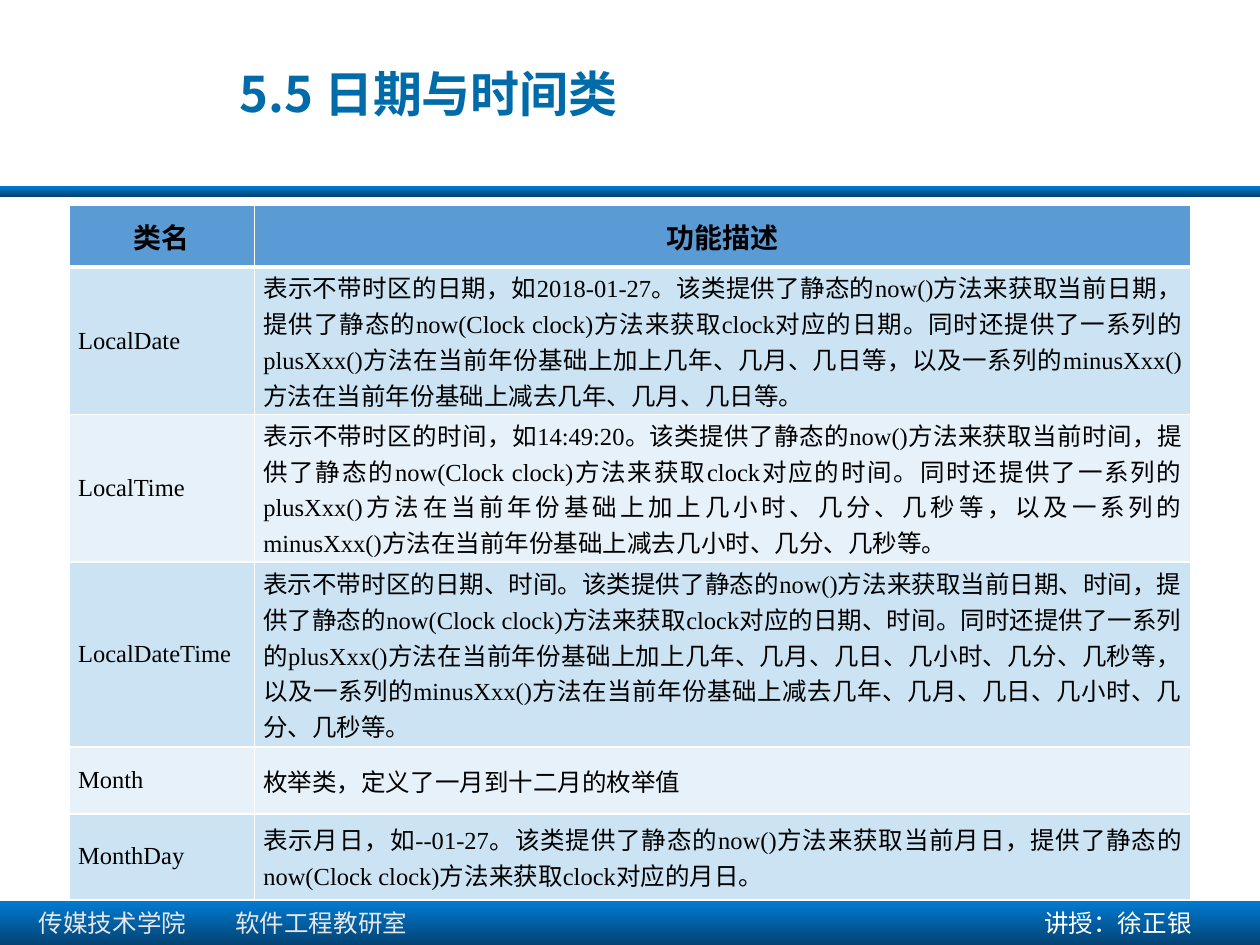
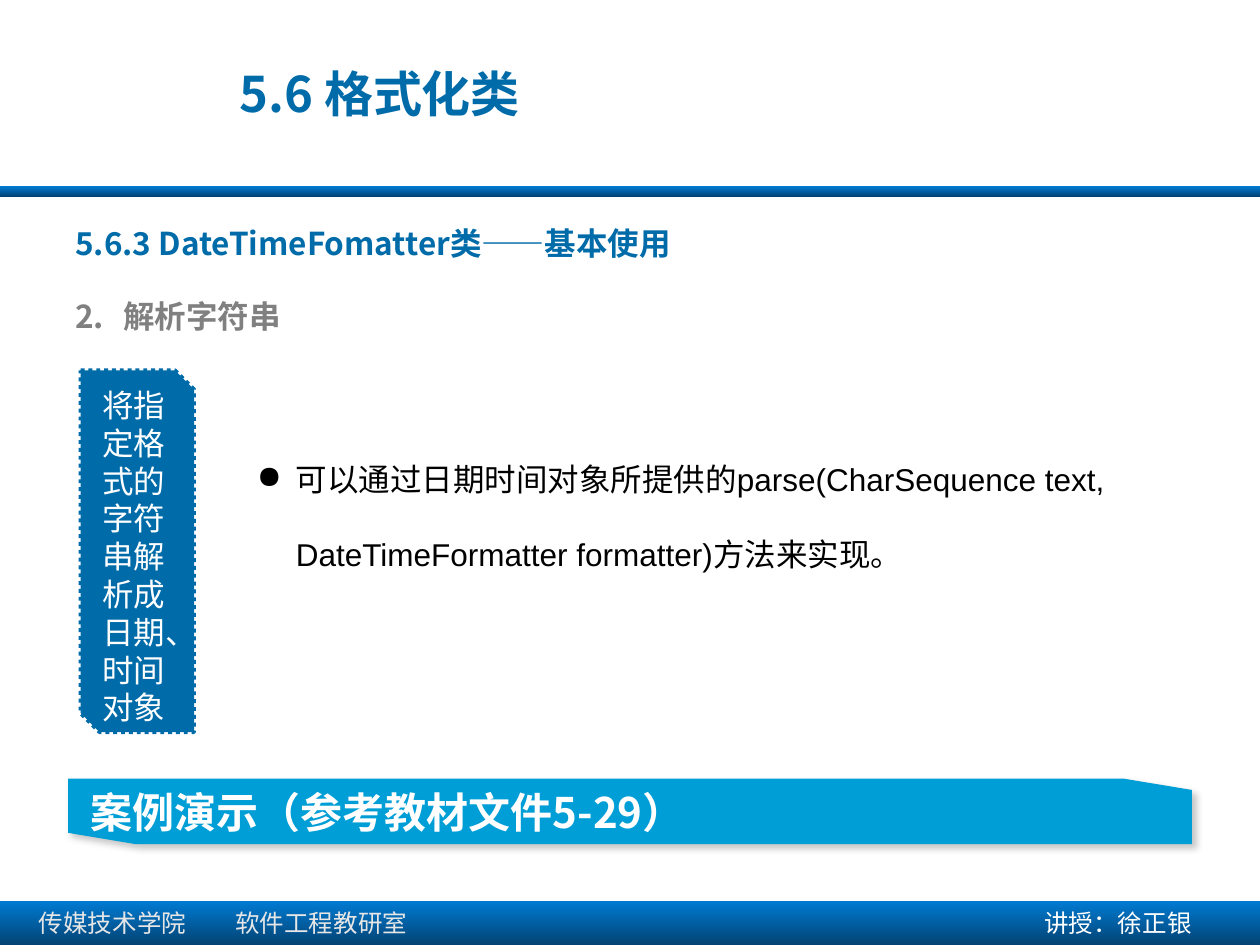
from dataclasses import dataclass
from typing import Any

from lxml import etree
from pptx import Presentation
from pptx.dml.color import RGBColor
from pptx.enum.dml import MSO_LINE
from pptx.enum.shapes import MSO_SHAPE
from pptx.enum.text import MSO_ANCHOR, MSO_AUTO_SIZE, PP_ALIGN
from pptx.oxml.ns import qn
from pptx.util import Inches, Pt

LEFT, CENTER, JUSTIFY = PP_ALIGN.LEFT, PP_ALIGN.CENTER, PP_ALIGN.JUSTIFY
TOP, MIDDLE = MSO_ANCHOR.TOP, MSO_ANCHOR.MIDDLE
NO_FIT, GROW = MSO_AUTO_SIZE.NONE, MSO_AUTO_SIZE.SHAPE_TO_FIT_TEXT
RECTANGLE, SNIPPED = MSO_SHAPE.RECTANGLE, MSO_SHAPE.SNIP_2_DIAG_RECTANGLE
DOTTED = MSO_LINE.ROUND_DOT


@dataclass(frozen=True)
class Theme:
    """Colours, fonts and type sizes of the deck."""
    blue: str = "006BA9"
    sky: str = "009ED6"
    band_top: str = "007BD3"
    band_bottom: str = "034373"
    grey: str = "808080"
    pale: str = "E7E6E6"
    white: str = "FFFFFF"
    black: str = "000000"
    table_header: str = "5B9BD5"
    table_rows: tuple[str, str] = ("CBE3F2", "E7F1F9")
    sans: str = "Arial"
    serif: str = "Times New Roman"
    chinese: str = "Noto Sans CJK SC"
    title_size: int = 28
    banner_size: int = 24
    body_size: int = 18
    header_size: int = 16
    small_size: int = 14


@dataclass(frozen=True)
class Box:
    left: float
    top: float
    width: float
    height: float

    def lengths(self) -> tuple[int, ...]:
        return tuple(Inches(v) for v in (self.left, self.top, self.width, self.height))


@dataclass(frozen=True)
class TextStyle:
    font: str
    size: int
    color: str
    bold: bool = False
    align: Any = LEFT
    spacing: float = 1.0


@dataclass(frozen=True)
class ClassRow:
    name: str
    description: str
    height: float


THEME = Theme()
TITLE = TextStyle(THEME.chinese, THEME.title_size, THEME.blue, True)
HEADING = TextStyle(THEME.chinese, THEME.body_size, THEME.blue, True)
STEP = TextStyle(THEME.chinese, THEME.body_size, THEME.grey, True)
BODY = TextStyle(THEME.sans, THEME.body_size, THEME.black, spacing=2.0)
LABEL = TextStyle(THEME.sans, THEME.body_size, THEME.white)
BANNER = TextStyle(THEME.chinese, THEME.banner_size, THEME.white, True)
DEPARTMENT = TextStyle(THEME.sans, THEME.small_size, THEME.pale)
LECTURER = TextStyle(THEME.sans, THEME.small_size, THEME.white)
TABLE_HEADER = TextStyle(THEME.serif, THEME.header_size, THEME.black, True, CENTER)
TABLE_BODY = TextStyle(THEME.serif, THEME.small_size, THEME.black, align=JUSTIFY)

TABLE_BOX = Box(0.55, 1.63, 8.9, 5.5)
COLUMN_WIDTHS = (1.47, 7.43)
HEADER = ClassRow("类名", "功能描述", 0.49)
CLASS_ROWS = (
    ClassRow("LocalDate",
             "表示不带时区的日期，如2018-01-27。该类提供了静态的now()方法来获取当前日期，"
             "提供了静态的now(Clock clock)方法来获取clock对应的日期。同时还提供了一系列的"
             "plusXxx()方法在当前年份基础上加上几年、几月、几日等，以及一系列的"
             "minusXxx()方法在当前年份基础上减去几年、几月、几日等。", 1.17),
    ClassRow("LocalTime",
             "表示不带时区的时间，如14:49:20。该类提供了静态的now()方法来获取当前时间，"
             "提供了静态的now(Clock clock)方法来获取clock对应的时间。同时还提供了一系列的"
             "plusXxx()方法在当前年份基础上加上几小时、几分、几秒等，以及一系列的"
             "minusXxx()方法在当前年份基础上减去几小时、几分、几秒等。", 1.17),
    ClassRow("LocalDateTime",
             "表示不带时区的日期、时间。该类提供了静态的now()方法来获取当前日期、时间，"
             "提供了静态的now(Clock clock)方法来获取clock对应的日期、时间。同时还提供了一系列的"
             "plusXxx()方法在当前年份基础上加上几年、几月、几日、几小时、几分、几秒等，以及一系列的"
             "minusXxx()方法在当前年份基础上减去几年、几月、几日、几小时、几分、几秒等。", 1.47),
    ClassRow("Month", "枚举类，定义了一月到十二月的枚举值", 0.53),
    ClassRow("MonthDay",
             "表示月日，如--01-27。该类提供了静态的now()方法来获取当前月日，"
             "提供了静态的now(Clock clock)方法来获取clock对应的月日。", 0.68),
)


def apply(target: Any, values: dict[str, Any]) -> None:
    for name, value in values.items():
        setattr(target, name, value)


def add_element(parent: Any, tag: str, **attributes: Any) -> Any:
    return etree.SubElement(parent, qn(tag), {k: str(v) for k, v in attributes.items()})


def write(frame: Any, text: str, style: TextStyle) -> Any:
    """Put one styled paragraph in a text frame and return it."""
    paragraph = frame.paragraphs[0]
    apply(paragraph, {"alignment": style.align, "line_spacing": style.spacing})
    run = paragraph.add_run()
    run.text = text
    apply(run.font, {"name": style.font, "size": Pt(style.size), "bold": style.bold})
    run.font.color.rgb = RGBColor.from_string(style.color)
    add_element(run.font._element, "a:ea", typeface=THEME.chinese)
    return paragraph


def add_text(slide: Any, box: Box, text: str, style: TextStyle) -> Any:
    frame = slide.shapes.add_textbox(*box.lengths()).text_frame
    apply(frame, {"word_wrap": True, "auto_size": GROW})
    return write(frame, text, style)


def hang(paragraph: Any, indent: float) -> Any:
    """Give a paragraph a hanging indent and return its properties."""
    properties = paragraph._p.get_or_add_pPr()
    properties.set("marL", str(Inches(indent)))
    properties.set("indent", str(-Inches(indent)))
    return properties


def paint(shape: Any, color: str) -> None:
    shape.shadow.inherit = False
    shape.fill.solid()
    shape.fill.fore_color.rgb = RGBColor.from_string(color)
    shape.line.fill.background()


def add_band(slide: Any, box: Box) -> None:
    band = slide.shapes.add_shape(RECTANGLE, *box.lengths())
    paint(band, THEME.band_top)
    band.fill.gradient()
    band.fill.gradient_angle = 270
    stops = zip(band.fill.gradient_stops, (THEME.band_top, THEME.band_bottom))
    for position, (stop, color) in enumerate(stops):
        stop.color.rgb = RGBColor.from_string(color)
        stop.position = position


def furnish_layout(layout: Any, slide: Any) -> None:
    """Draw bands and footer texts, then hand them over to the layout."""
    already_there = len(slide.shapes)
    add_band(slide, Box(0, 1.48, 10, 0.08))
    add_band(slide, Box(0, 7.15, 10, 0.35))
    department = add_text(slide, Box(0.21, 7.16, 3.78, 0.34),
                          "传媒技术学院\t软件工程教研室", DEPARTMENT)
    tabs = add_element(department._p.get_or_add_pPr(), "a:tabLst")
    add_element(tabs, "a:tab", pos=Inches(1.56), algn="l")
    add_text(slide, Box(8.19, 7.16, 1.78, 0.34), "讲授：徐正银", LECTURER)
    for shape in list(slide.shapes)[already_there:]:
        layout.shapes._spTree.append(shape._element)


def add_titled_slide(presentation: Any, layout: Any, title: str) -> Any:
    slide = presentation.slides.add_slide(layout)
    shape = slide.shapes.title
    box = Box(1.8, 0.43, 5.83, 0.61).lengths()
    apply(shape, dict(zip(("left", "top", "width", "height"), box)))
    apply(shape.text_frame, {"vertical_anchor": MIDDLE, "auto_size": NO_FIT, "word_wrap": True})
    hang(write(shape.text_frame, title, TITLE), 0.62)
    return slide


def fill_cell(cell: Any, text: str, style: TextStyle, color: str,
              top_line: int, bottom_line: int) -> None:
    side, none = Inches(0.07), Inches(0)
    apply(cell, {"vertical_anchor": MIDDLE, "margin_left": side, "margin_right": side,
                 "margin_top": none, "margin_bottom": none})
    write(cell.text_frame, text, style)
    # Borders come before the fill in the cell properties
    properties = cell._tc.get_or_add_tcPr()
    for edge, points in (("L", 1), ("R", 1), ("T", top_line), ("B", bottom_line)):
        line = add_element(properties, f"a:ln{edge}", w=Pt(points))
        add_element(add_element(line, "a:solidFill"), "a:srgbClr", val=THEME.white)
    cell.fill.solid()
    cell.fill.fore_color.rgb = RGBColor.from_string(color)


def add_class_table(slide: Any) -> None:
    rows = (HEADER, *CLASS_ROWS)
    table = slide.shapes.add_table(len(rows), len(COLUMN_WIDTHS), *TABLE_BOX.lengths()).table
    for column, width in zip(table.columns, COLUMN_WIDTHS):
        column.width = Inches(width)
    for index, row in enumerate(rows):
        table.rows[index].height = Inches(row.height)
        style = TABLE_BODY if index else TABLE_HEADER
        color = THEME.table_rows[(index - 1) % 2] if index else THEME.table_header
        top_line, bottom_line = 3 if index == 1 else 1, 1 if index else 3
        for column, text in enumerate((row.name, row.description)):
            fill_cell(table.cell(index, column), text, style, color, top_line, bottom_line)


def add_label(slide: Any, box: Box, text: str) -> None:
    label = slide.shapes.add_shape(SNIPPED, *box.lengths())
    paint(label, THEME.blue)
    label.line.color.rgb = RGBColor.from_string(THEME.blue)
    apply(label.line, {"width": Pt(2.25), "dash_style": DOTTED})
    apply(label.text_frame, {"vertical_anchor": TOP, "word_wrap": True})
    write(label.text_frame, text, LABEL)


def add_banner(slide: Any, box: Box, text: str) -> None:
    """Ribbon with two opposite corners cut, and a soft shadow."""
    right, bottom = box.left + box.width, box.top + box.height
    cut_x, cut_y = 0.54, 0.09
    corners = ((right - cut_x, box.top), (right, box.top + cut_y), (right, bottom),
               (box.left + cut_x, bottom), (box.left, bottom - cut_y))
    builder = slide.shapes.build_freeform(Inches(box.left), Inches(box.top))
    builder.add_line_segments([(Inches(x), Inches(y)) for x, y in corners], close=True)
    banner = builder.convert_to_shape()
    paint(banner, THEME.sky)
    effects = banner._element.spPr.find(qn("a:effectLst"))
    shadow = add_element(effects, "a:outerShdw", blurRad=Pt(4), dist=Pt(3), dir=45 * 60000,
                         algn="tl", rotWithShape=0)
    shade = add_element(shadow, "a:srgbClr", val=THEME.grey)
    add_element(shade, "a:alpha", val=43000)
    apply(banner.text_frame, {"vertical_anchor": MIDDLE, "word_wrap": True,
                              "margin_left": Inches(0.18), "margin_top": 0, "margin_bottom": 0})
    write(banner.text_frame, text, BANNER)


def build() -> None:
    presentation = Presentation()
    apply(presentation, {"slide_width": Inches(10), "slide_height": Inches(7.5)})
    layout = presentation.slide_layouts[5]

    # Date and time classes
    slide = add_titled_slide(presentation, layout, "5.5 日期与时间类")
    furnish_layout(layout, slide)
    add_class_table(slide)

    # Parsing strings with a formatter
    slide = add_titled_slide(presentation, layout, "5.6 格式化类")
    add_text(slide, Box(0.5, 1.73, 9, 0.71), "5.6.3 DateTimeFomatter类——基本使用", HEADING)
    step = add_text(slide, Box(0.5, 2.31, 8.97, 0.4), "解析字符串", STEP)
    numbering = hang(step, 0.38)
    add_element(numbering, "a:buFont", typeface=THEME.chinese)
    add_element(numbering, "a:buAutoNum", type="arabicPeriod", startAt=2)
    method = add_text(slide, Box(1.94, 3.3, 7.52, 1.22),
                      "可以通过日期时间对象所提供的parse(CharSequence text, "
                      "DateTimeFormatter formatter)方法来实现。", BODY)
    add_element(hang(method, 0.31), "a:buChar", char="●")
    add_label(slide, Box(0.64, 2.94, 0.9, 2.87), "将指定格式的字符串解析成日期、时间对象")
    add_banner(slide, Box(0.54, 6.18, 8.92, 0.52), "案例演示（参考教材文件5-29）")

    presentation.save("out.pptx")


build()
